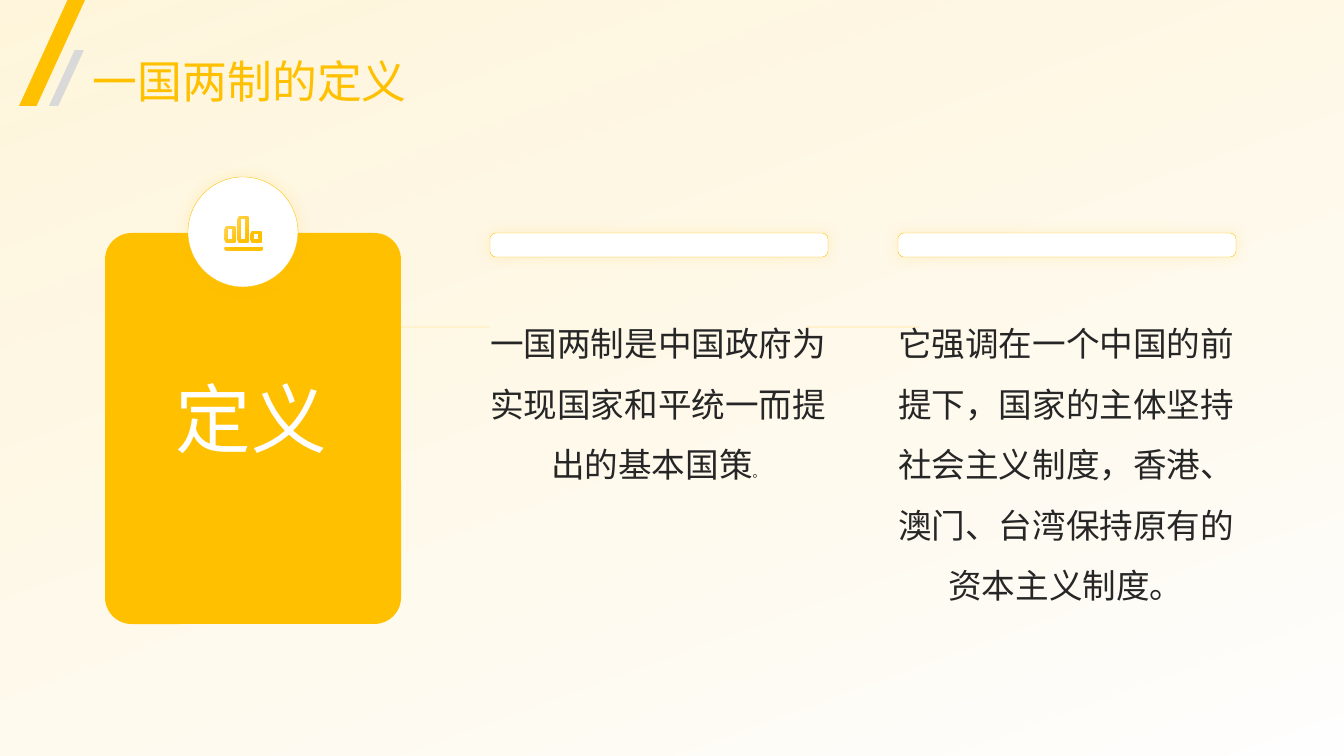
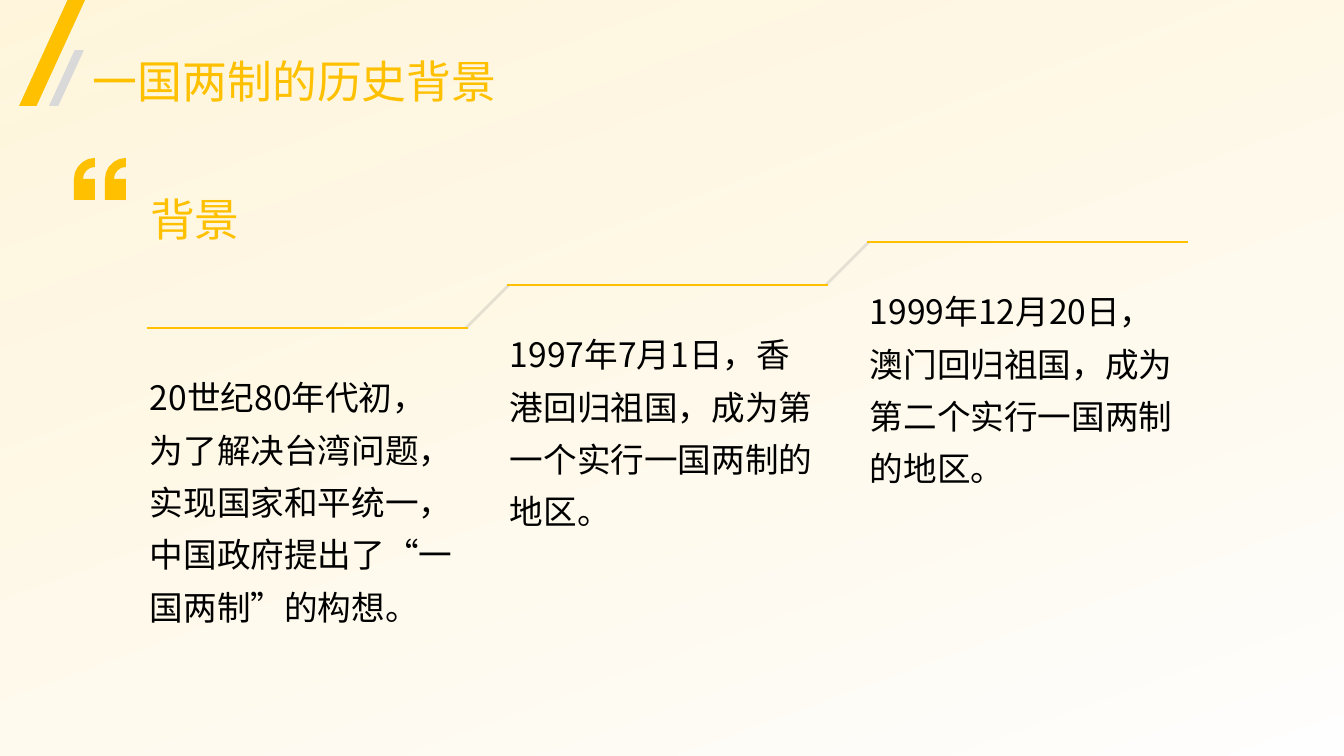
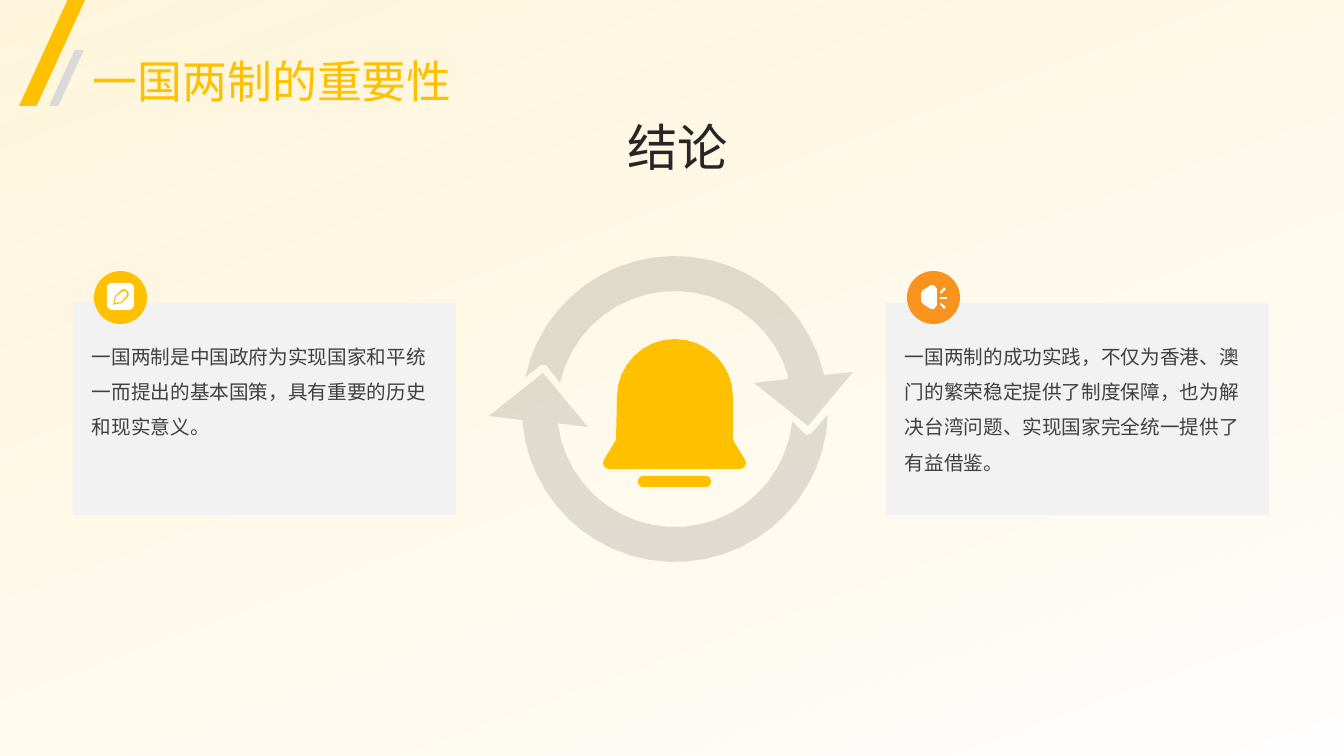
import math

import lxml.etree
import pptx
import pptx.dml.color
import pptx.enum.shapes
import pptx.enum.text
import pptx.oxml.ns
import pptx.util

PX = 12192000 / 1344  # EMU in one px
FONT = "Noto Sans CJK SC"
HUE = {
    "gold": "FFC000", "sand": "FFD966", "cream": "FFF2CC",
    "white": "FFFFFF", "black": "000000", "ink": "262626", "soft": "404040",
    "mist": "F2F2F2", "silver": "D9D9D9", "grey": "808080",
    "brown": "39302A", "orange": "F8931D",
}
KIND = pptx.enum.shapes.MSO_SHAPE
ANCHOR = pptx.enum.text.MSO_ANCHOR
LEFT = pptx.enum.text.PP_ALIGN.LEFT
MID = pptx.enum.text.PP_ALIGN.CENTER

# Text styles: point size, colour, paragraph format, frame format
FLUSH = {f"margin_{side}": 0 for side in ("left", "top", "right", "bottom")}
TOP = {"vertical_anchor": ANCHOR.TOP}
STYLE = {
    "title": (32, "gold", {"alignment": LEFT, "line_spacing": 1.1},
              {**FLUSH, "vertical_anchor": ANCHOR.MIDDLE}),
    "point": (24, "ink", {"alignment": MID, "line_spacing": 1.5}, {**FLUSH, **TOP}),
    "term": (54, "white", {"alignment": MID, "line_spacing": 1.5}, {**FLUSH, **TOP}),
    "step": (24, "black", {"alignment": LEFT, "line_spacing": 1.3}, TOP),
    "head": (32, "gold", {"alignment": LEFT, "line_spacing": 1.5}, {**FLUSH, **TOP}),
    "note": (14, "soft", {"alignment": LEFT, "line_spacing": 1.5}, TOP),
    "end": (36, "ink", {"alignment": MID, "line_spacing": 1.5},
            {**FLUSH, "vertical_anchor": ANCHOR.BOTTOM}),
}


def emu(*nums):
    return [round(num * PX) for num in nums]


def rgb(name):
    return pptx.dml.color.RGBColor.from_string(HUE[name])


def add(parent, tag, **attrs):
    return lxml.etree.SubElement(parent, pptx.oxml.ns.qn(tag), attrs)


def apply(item, values):
    for key, value in values.items():
        setattr(item, key, value)


def fade(item, *shares):
    """Set the opacity, in percent, of the first colours of a shape or line."""
    colors = item._element.spPr.iter(pptx.oxml.ns.qn("a:srgbClr"))
    for color, share in zip(list(colors), shares):
        add(color, "a:alpha", val=str(share * 1000))


def blend(fill, first, last, angle, end=1.0):
    fill.gradient()
    fill.gradient_angle = 360 - angle
    for stop, name, place in zip(fill.gradient_stops, (first, last), (0.0, end)):
        stop.color.rgb = rgb(name)
        stop.position = place


# Text
def write(frame, text, style, tail="", small=8.8):
    size, color, para, box = STYLE[style]
    apply(frame, {"word_wrap": True, "auto_size": pptx.enum.text.MSO_AUTO_SIZE.NONE, **box})
    line = frame.paragraphs[0]
    apply(line, para)
    for part, points in ((text, size), (tail, small)):
        if part:
            run = line.add_run()
            run.text = part
            apply(run.font, {"size": pptx.util.Pt(points), "name": FONT, "bold": False})
            run.font.color.rgb = rgb(color)
            add(run.font._element, "a:ea", typeface=FONT)


def label(slide, box, text, style, tail=""):
    write(slide.shapes.add_textbox(*emu(*box)).text_frame, text, style, tail)


# Shapes and lines
def paint(item, color):
    item.shadow.inherit = False
    item.line.fill.background()
    item.fill.solid()
    item.fill.fore_color.rgb = rgb(color)
    return item


def block(slide, kind, box, color, bend=None):
    item = paint(slide.shapes.add_shape(kind, *emu(*box)), color)
    if bend is not None:
        item.adjustments[0] = bend
    return item


def glow(item):
    """Give a shape a thin gold edge and a soft gold shadow."""
    item.line.color.rgb = rgb("gold")
    item.line.width = pptx.util.Pt(0.25)
    effects = item._element.spPr.find(pptx.oxml.ns.qn("a:effectLst"))
    shade = add(effects, "a:outerShdw", blurRad=str(pptx.util.Pt(10)), dist="0",
                dir="0", algn="ctr", rotWithShape="0")
    add(add(shade, "a:srgbClr", val=HUE["gold"]), "a:alpha", val="15000")


def rule(slide, ends, color, width, share=None, cap="flat"):
    straight = pptx.enum.shapes.MSO_CONNECTOR.STRAIGHT
    item = slide.shapes.add_connector(straight, *emu(*ends))
    item.line.color.rgb = rgb(color)
    item.line.width = pptx.util.Pt(width)
    item._element.spPr.find(pptx.oxml.ns.qn("a:ln")).set("cap", cap)
    if share:
        fade(item, share)
    add(item._element.spPr, "a:effectLst")


# Outlines: angles in degrees, clockwise from the right
def arc(cx, cy, rx, ry, start, stop):
    sweep = math.radians(stop - start)
    count = math.ceil(abs(sweep) * math.sqrt(max(rx, ry) / 2.4))
    turns = [math.radians(start) + sweep * i / count for i in range(count + 1)]
    return [(cx + rx * math.cos(t), cy + ry * math.sin(t)) for t in turns]


def pill(x, y, w, h, r):
    """Outline of a box with round corners."""
    spots = ((x + w - r, y + h - r), (x + r, y + h - r), (x + r, y + r), (x + w - r, y + r))
    return [p for i, (cx, cy) in enumerate(spots)
            for p in arc(cx, cy, r, r, 90 * i, 90 * i + 90)]


def trace(slide, rings, color):
    build = None
    for ring in rings:
        first, *rest = [emu(*point) for point in ring]
        if build is None:
            build = slide.shapes.build_freeform(*first, scale=1.0)
        else:
            build.move_to(*first)
        build.add_line_segments(rest, close=True)
    return paint(build.convert_to_shape(), color)


# Icons
def chart_icon(slide):
    rings = [pill(225, 247, 38, 3, 1)]
    for x, y in ((225, 226), (238, 216), (251, 231)):
        rings += [pill(x, y, 11, 243 - y, 3),
                  [(x + 3, y + 3), (x + 8, y + 3), (x + 8, 240), (x + 3, 240)]]
    blend(trace(slide, rings, "gold").fill, "sand", "gold", 45, 0.6)


def quote_icon(slide):
    rings = []
    for x in (74, 105):
        edge = x + 21
        rings.append(arc(edge, 179, 12, 12, 270, 180) + [(edge, 179), (edge, 200), (x, 200)]
                     + arc(edge, 179, 21, 21, 180, 270))
    trace(slide, rings, "gold")


def pen_icon(slide):
    outer = [(113, 305), (115, 296)] + arc(124, 294, 5, 5, 225, 405) + [(122, 303)]
    inner = [(115, 303), (116, 297)] + arc(124, 294, 3, 3, 225, 405) + [(121, 302)]
    trace(slide, [pill(107, 283, 27, 27, 5), outer, inner], "white")


def horn_icon(slide):
    body = [(921, 293), (923, 290), (931, 285), (934, 285), (937, 289),
            (937, 305), (934, 309), (931, 309), (923, 304), (921, 301)]
    rays = [[(940, 292), (944, 287), (946, 289), (941, 294)],
            [(940, 297), (947, 297), (947, 299), (940, 299)],
            [(941, 303), (946, 307), (944, 309), (940, 304)]]
    trace(slide, [body] + rays, "white")


def bell_icon(slide):
    body = (arc(675, 397, 58, 58, 180, 360) + [(733, 440)]
            + arc(740, 463, 6, 6, -30, 90) + arc(609, 463, 6, 6, 90, 210) + [(616, 440)])
    trace(slide, [body, pill(638, 476, 73, 11, 5)], "gold")


def cycle(slide):
    def curve(r, start, stop):
        return arc(675, 409, r, r, start, stop)

    lower = (curve(118, 6, 173) + [(588, 427), (543, 373), (489, 416), (522, 420)]
             + curve(153, 176, 2) + [(811, 434), (806, 435)])
    upper = (curve(118, 193, 343) + [(788, 379), (754, 383), (808, 426), (853, 372), (824, 375)]
             + curve(153, 346, 192) + [(541, 365), (546, 365)])
    for ring in (lower, upper):
        fade(trace(slide, [ring], "brown"), 15)


# Slides
def start(deck, text):
    """Add a slide with the shared backdrop, title and corner stripes."""
    slide = deck.slides.add_slide(deck.slide_layouts[5])
    back = block(slide, KIND.RECTANGLE, (0, 0, 1344, 763), "cream")
    blend(back.fill, "cream", "white", 70)
    fade(back, 67, 92)
    title = slide.shapes.title
    back._element.addnext(title._element)
    apply(title, dict(zip(("left", "top", "width", "height"), emu(93, 52, 1177, 52))))
    write(title.text_frame, text, "title")
    for box, color in (((19, 0, 66, 106), "gold"), ((49, 50, 35, 56), "silver")):
        block(slide, KIND.PARALLELOGRAM, box, color, 0.735)
    return slide


def define(deck):
    slide = start(deck, "一国两制的定义")
    for left, right in ((397, 490), (806, 919)):
        rule(slide, (left, 327, right, 327), "cream", 1)
    points = (("一国两制是中国政府为实现国家和平统一而提出的基本国策", "。"),
              ("它强调在一个中国的前提下，国家的主体坚持社会主义制度，"
               "香港、澳门、台湾保持原有的资本主义制度。", ""))
    for i, (text, tail) in enumerate(points):
        x = 490 + 408 * i
        glow(block(slide, KIND.ROUNDED_RECTANGLE, (x, 233, 338, 24), "white", 0.25))
        label(slide, (x - 1, 303, 338, 305), text, "point", tail)
    block(slide, KIND.ROUNDED_RECTANGLE, (105, 233, 296, 391), "gold", 0.09)
    glow(block(slide, KIND.OVAL, (188, 177, 110, 110), "white"))
    chart_icon(slide)
    label(slide, (131, 327, 241, 281), "定义", "term")


def recall(deck):
    slide = start(deck, "一国两制的历史背景")
    steps = ("20世纪80年代初，为了解决台湾问题，实现国家和平统一，中国政府提出了“一国两制”的构想。",
             "1997年7月1日，香港回归祖国，成为第一个实行一国两制的地区。",
             "1999年12月20日，澳门回归祖国，成为第二个实行一国两制的地区。")
    for i, text in enumerate(steps):
        x, y = 148 + 360 * i, 328 - 43 * i
        if i < len(steps) - 1:
            rule(slide, (x + 318, y, x + 361, y - 43), "grey", 2, 20)
        rule(slide, (x, y, x + 319, y), "gold", 2, cap="sq")
        label(slide, (x - 8, y + 32, 328, 101), text, "step")
    label(slide, (150, 165, 1086, 143), "背景", "head")
    quote_icon(slide)


def conclude(deck):
    slide = start(deck, "一国两制的重要性")
    bell_icon(slide)
    cycle(slide)
    cards = (("一国两制是中国政府为实现国家和平统一而提出的基本国策，具有重要的历史和现实意义。",
              "gold", pen_icon),
             ("一国两制的成功实践，不仅为香港、澳门的繁荣稳定提供了制度保障，"
              "也为解决台湾问题、实现国家完全统一提供了有益借鉴。", "orange", horn_icon))
    for i, (text, color, icon) in enumerate(cards):
        x = 73 + 813 * i
        block(slide, KIND.RECTANGLE, (x, 303, 383, 212), "mist")
        label(slide, (x + 9, 328, 372, 167), text, "note")
        block(slide, KIND.OVAL, (x + 21, 271, 53, 53), color)
        icon(slide)
    label(slide, (107, 44, 1141, 133), "结论", "end")


def main():
    deck = pptx.Presentation()
    deck.slide_width, deck.slide_height = emu(1344, 756)
    for make in (define, recall, conclude):
        make(deck)
    deck.save("out.pptx")


if __name__ == "__main__":
    main()
